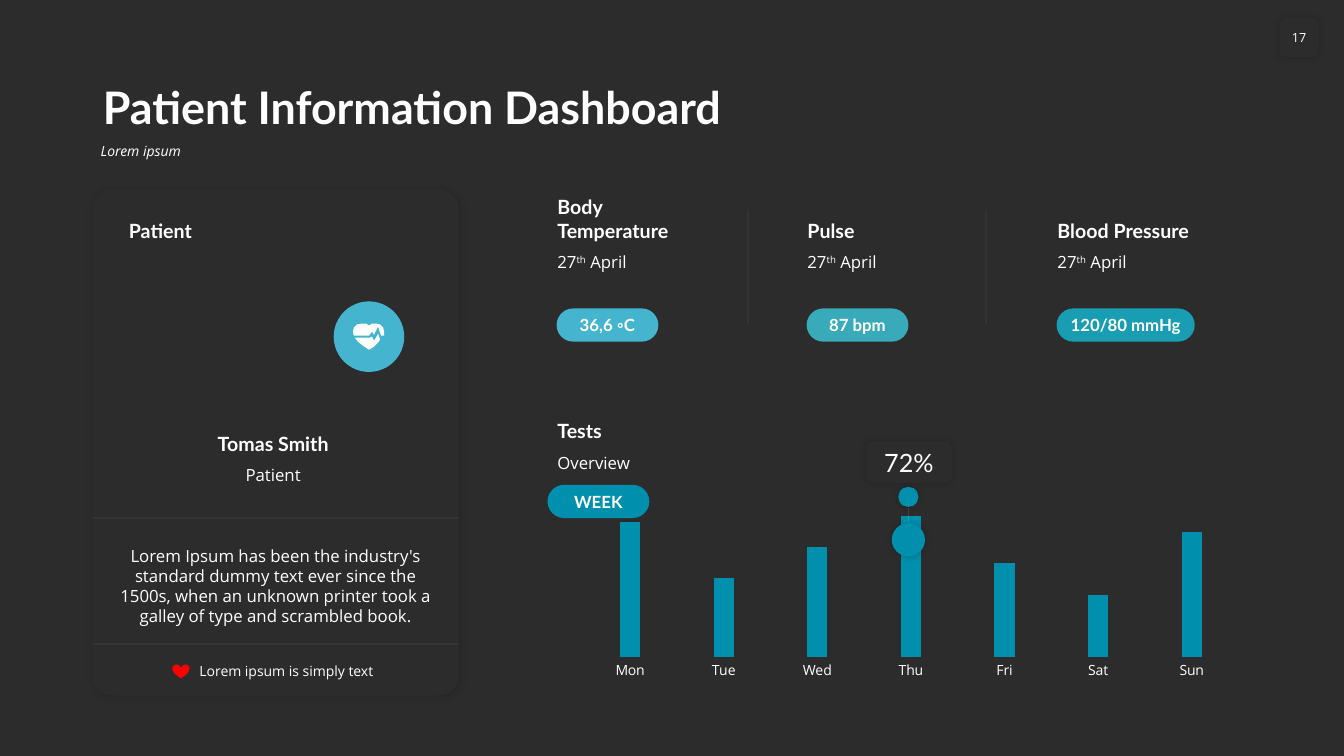
import pptx
import pptx.chart.data
import pptx.dml.color
import pptx.enum.chart
import pptx.enum.shapes
import pptx.enum.text
import pptx.oxml
import pptx.oxml.ns
import pptx.util

Inches = pptx.util.Inches
SHAPE = pptx.enum.shapes.MSO_SHAPE
ALIGN = pptx.enum.text.PP_ALIGN
ANCHOR = pptx.enum.text.MSO_ANCHOR
RGB = pptx.dml.color.RGBColor.from_string
A_NS = pptx.oxml.ns.nsdecls("a")

THEME = {
    "ground": "2C2C2C", "ink": "FFFFFF", "accent": "008FAC", "sky": "45B5CF",
    "teal": "39AAB9", "sea": "199DB3", "heart": "FF0000",
    # typeface, size, bold, italic
    "title": ("Lato", 32, True, False),
    "subtitle": ("Open Sans", 10, False, True),
    "heading": ("Lato", 14, True, False),
    "body": ("Open Sans", 12, False, False),
    "small": ("Open Sans", 10, False, False),
    "page": ("Open Sans", 9, False, False),
    "pill": ("Lato", 12, True, False),
    "callout": ("Lato", 18, False, False),
}

# Grid, in inches
MARGIN, CARD_TOP, CARD_WIDTH, CARD_HEIGHT = 0.92, 1.88, 3.63, 5.02
CARD_RIGHT = MARGIN + CARD_WIDTH
CARD_MIDDLE = 2.71
VITALS_LEFT, VITALS_PITCH, VITALS_WIDTH = 5.43, 2.48, 1.66
HEADING_HEIGHT, LINE_HEIGHT, PILL_WIDTH, PILL_HEIGHT = 0.34, 0.3, 1.01, 0.33
VITALS_ROW, TESTS_ROW = 2.45, 4.44
THURSDAY = 9.01
SOFT, GLOW = (20, 5, 0), (15, 6, 1)  # shadow: opacity %, blur, distance

deck = pptx.Presentation()
deck.slide_width, deck.slide_height = Inches(13.33), Inches(7.5)
slide = deck.slides.add_slide(deck.slide_layouts[5])
slide.background.fill.solid()
slide.background.fill.fore_color.rgb = RGB(THEME["ground"])


def write(holder, style, *texts, align=ALIGN.LEFT, anchor=ANCHOR.TOP, inset=(0.1, 0.05)):
    """Fill a shape with one paragraph; a text starting with ^ is raised."""
    frame = holder.text_frame
    frame.auto_size = pptx.enum.text.MSO_AUTO_SIZE.NONE
    frame.word_wrap, frame.vertical_anchor = True, anchor
    frame.margin_left = frame.margin_right = Inches(inset[0])
    frame.margin_top = frame.margin_bottom = Inches(inset[1])
    paragraph = frame.paragraphs[0]
    paragraph.alignment = align
    for text in texts:
        run = paragraph.add_run()
        run.text = text.lstrip("^")
        face, size, run.font.bold, run.font.italic = THEME[style]
        run.font.name, run.font.size = face, pptx.util.Pt(size)
        run.font.color.rgb = RGB(THEME["ink"])
        if text.startswith("^"):
            run.font._element.set("baseline", "30000")
    return paragraph


def draw(kind, box, fill, corner=None, shadow=None):
    """Add a borderless filled shape, with an optional soft shadow."""
    shape = slide.shapes.add_shape(kind, *map(Inches, box))
    shape.shadow.inherit = False
    shape.fill.solid()
    shape.fill.fore_color.rgb = RGB(THEME[fill])
    shape.line.fill.background()
    if corner is not None:
        shape.adjustments[0] = corner
    if shadow:
        opacity, blur, distance = shadow
        effects = shape._element.spPr.find(pptx.oxml.ns.qn("a:effectLst"))
        effects.append(pptx.oxml.parse_xml(
            f'<a:outerShdw {A_NS} blurRad="{blur * 12700}" dist="{distance * 12700}" '
            f'dir="2700000" algn="ctr" rotWithShape="0"><a:srgbClr val="000000">'
            f'<a:alpha val="{opacity * 1000}"/></a:srgbClr></a:outerShdw>'))
    return shape


# Title, subtitle and page number
title = slide.shapes.title
title.left, title.top, title.width, title.height = map(Inches, (MARGIN, 0.58, 11.5, 0.8))
write(title, "title", "Patient Information Dashboard", anchor=ANCHOR.BOTTOM).line_spacing = 0.9
subtitle = slide.shapes.add_textbox(*map(Inches, (0.9, 1.38, 11.52, 0.36)))
write(subtitle, "subtitle", "Lorem ipsum").line_spacing = 0.9
page = draw(SHAPE.ROUNDED_RECTANGLE, (12.69, 0.18, 0.39, 0.39), "ground", shadow=SOFT)
write(page, "page", "17", align=ALIGN.CENTER, anchor=ANCHOR.MIDDLE, inset=(0, 0.05))

# Patient card and weekly chart
draw(SHAPE.ROUNDED_RECTANGLE, (MARGIN, CARD_TOP, CARD_WIDTH, CARD_HEIGHT), "ground", 0.054, GLOW)
draw(SHAPE.HEART, (1.71, 6.59, 0.17, 0.14), "heart")

week = pptx.chart.data.CategoryChartData()
week.categories = ["Mon", "Tue", "Wed", "Thu", "Fri", "Sat", "Sun"]
week.add_series("Series 1", (96, 56, 78, 100, 67, 44, 89))
tests = slide.shapes.add_chart(
    pptx.enum.chart.XL_CHART_TYPE.COLUMN_CLUSTERED,
    *map(Inches, (5.65, 4.94, 6.77, 1.84)), week).chart
tests.has_legend = tests.has_title = False
tests.font.name, tests.font.size = "Open Sans", pptx.util.Pt(12)
tests.font.color.rgb = RGB(THEME["ink"])
tests.value_axis.minimum_scale, tests.value_axis.maximum_scale = 0, 100
tests.value_axis.has_major_gridlines = tests.value_axis.visible = False
days = tests.category_axis
days.major_tick_mark = pptx.enum.chart.XL_TICK_MARK.NONE
days.format.line.fill.background()
days.tick_labels.font.size = pptx.util.Pt(10)
days.tick_labels.font.name = "Open Sans"
days.tick_labels.font.color.rgb = RGB(THEME["ink"])
columns = tests.plots[0]
columns.gap_width, columns.overlap, columns.vary_by_categories = 360, -30, False
columns.series[0].format.fill.solid()
columns.series[0].format.fill.fore_color.rgb = RGB(THEME["accent"])
plot_area = tests._chartSpace.chart.plotArea
for old_layout in plot_area.findall(pptx.oxml.ns.qn("c:layout")):
    plot_area.remove(old_layout)
plot_area.insert(0, pptx.oxml.parse_xml(
    f'<c:layout {pptx.oxml.ns.nsdecls("c")}><c:manualLayout><c:layoutTarget val="inner"/>'
    '<c:xMode val="edge"/><c:yMode val="edge"/><c:x val="0.02"/><c:y val="0.1"/>'
    '<c:w val="0.96"/><c:h val="0.76"/></c:manualLayout></c:layout>'))

# Faint rules: card dividers, vitals dividers, callout stem
for x1, y1, x2, y2 in (
        (MARGIN, 5.14, CARD_RIGHT, 5.14), (MARGIN, 6.39, CARD_RIGHT, 6.39),
        (7.42, 3.21, 7.42, 2.08), (9.78, 3.21, 9.78, 2.08),
        (THURSDAY, 5.04, THURSDAY, 5.19)):
    rule = slide.shapes.add_connector(
        pptx.enum.shapes.MSO_CONNECTOR.STRAIGHT, *map(Inches, (x1, y1, x2, y2)))
    rule.line.width = pptx.util.Pt(0.5)
    rule.line.color.rgb = RGB(THEME["ink"])
    rule.line._ln.find(".//" + pptx.oxml.ns.qn("a:srgbClr")).append(
        pptx.oxml.parse_xml(f'<a:alpha {A_NS} val="10000"/>'))
    rule._element.spPr.append(pptx.oxml.parse_xml(f"<a:effectLst {A_NS}/>"))

# Headings and plain text
LEFT, CENTER = ALIGN.LEFT, ALIGN.CENTER
TOP, MIDDLE, BOTTOM = ANCHOR.TOP, ANCHOR.MIDDLE, ANCHOR.BOTTOM
name_left = CARD_MIDDLE - 1
for box, style, align, anchor, words in (
        ((1.18, 2.11, 3.2, HEADING_HEIGHT), "heading", LEFT, BOTTOM, "Patient"),
        ((name_left, 4.23, 2, HEADING_HEIGHT), "heading", CENTER, BOTTOM, "Tomas Smith"),
        ((name_left, 4.56, 2, LINE_HEIGHT), "body", CENTER, TOP, "Patient"),
        ((1.08, 5.36, 3.31, 0.91), "body", CENTER, TOP,
         "Lorem Ipsum has been the industry's standard dummy text ever since the 1500s, "
         "when an unknown printer took a galley of type and scrambled book."),
        ((1.88, 6.52, 1.96, 0.27), "small", LEFT, MIDDLE, "Lorem ipsum is simply text"),
        ((VITALS_LEFT, TESTS_ROW - HEADING_HEIGHT, 2.86, HEADING_HEIGHT),
         "heading", LEFT, BOTTOM, "Tests"),
        ((VITALS_LEFT, TESTS_ROW, 2.86, LINE_HEIGHT), "body", LEFT, TOP, "Overview")):
    write(slide.shapes.add_textbox(*map(Inches, box)), style, words, align=align, anchor=anchor)

# Vital signs
pills = [(VITALS_LEFT, 4.81, PILL_WIDTH, "accent", "WEEK")]
for column, (vital, reading, colour, pill_width) in enumerate((
        ("Body Temperature", "36,6 ◦C", "sky", PILL_WIDTH),
        ("Pulse", "87 bpm", "teal", PILL_WIDTH),
        ("Blood Pressure", "120/80 mmHg", "sea", 1.37))):
    left = VITALS_LEFT + column * VITALS_PITCH
    heading = slide.shapes.add_textbox(
        *map(Inches, (left, CARD_TOP, VITALS_WIDTH, VITALS_ROW - CARD_TOP)))
    write(heading, "heading", vital, anchor=BOTTOM)
    date = slide.shapes.add_textbox(*map(Inches, (left, VITALS_ROW, VITALS_WIDTH, LINE_HEIGHT)))
    write(date, "body", "27", "^th", " April")
    pills.append((left + 0.09, 3.06, pill_width, colour, reading))
for left, top, width, colour, label in pills:
    pill = draw(SHAPE.ROUNDED_RECTANGLE, (left, top, width, PILL_HEIGHT), colour, 0.5)
    write(pill, "pill", label, align=CENTER, anchor=MIDDLE, inset=(0, 0))

# Thursday callout
for top, size in ((5.19, 0.33), (4.83, 0.2)):
    draw(SHAPE.OVAL, (THURSDAY - size / 2, top, size, size), "accent", shadow=SOFT)
callout = draw(SHAPE.ROUNDED_RECTANGLE, (8.59, 4.38, 0.85, 0.41), "ground", shadow=SOFT)
write(callout, "callout", "72%", align=CENTER, anchor=MIDDLE, inset=(0.08, 0.05))

# Heartbeat badge: the lower and upper halves of a heart, split by a pulse
draw(SHAPE.OVAL, (3.31, 2.99, 0.7, 0.7), "sky")
lower_half = ((3.75, 3.31), (3.77, 3.37), (3.75, 3.4), (3.71, 3.44), (3.66, 3.47), (3.6, 3.43),
              (3.55, 3.39), (3.52, 3.35), (3.67, 3.35), (3.69, 3.34), (3.71, 3.38), (3.73, 3.35))
upper_half = ((3.59, 3.21), (3.63, 3.21), (3.66, 3.23), (3.69, 3.21), (3.73, 3.21), (3.77, 3.22),
              (3.8, 3.25), (3.81, 3.29), (3.81, 3.33), (3.78, 3.33), (3.76, 3.27), (3.75, 3.24),
              (3.71, 3.32), (3.69, 3.29), (3.66, 3.33), (3.51, 3.33), (3.5, 3.29), (3.51, 3.25),
              (3.54, 3.22))
heartbeat = slide.shapes.build_freeform(*map(Inches, lower_half[0]))
heartbeat.add_line_segments([(Inches(x), Inches(y)) for x, y in lower_half[1:]])
heartbeat.move_to(*map(Inches, upper_half[0]))
heartbeat.add_line_segments([(Inches(x), Inches(y)) for x, y in upper_half[1:]])
badge = heartbeat.convert_to_shape()
badge.shadow.inherit = False
badge.fill.solid()
badge.fill.fore_color.rgb = RGB(THEME["ink"])
badge.line.fill.background()

deck.save("out.pptx")
